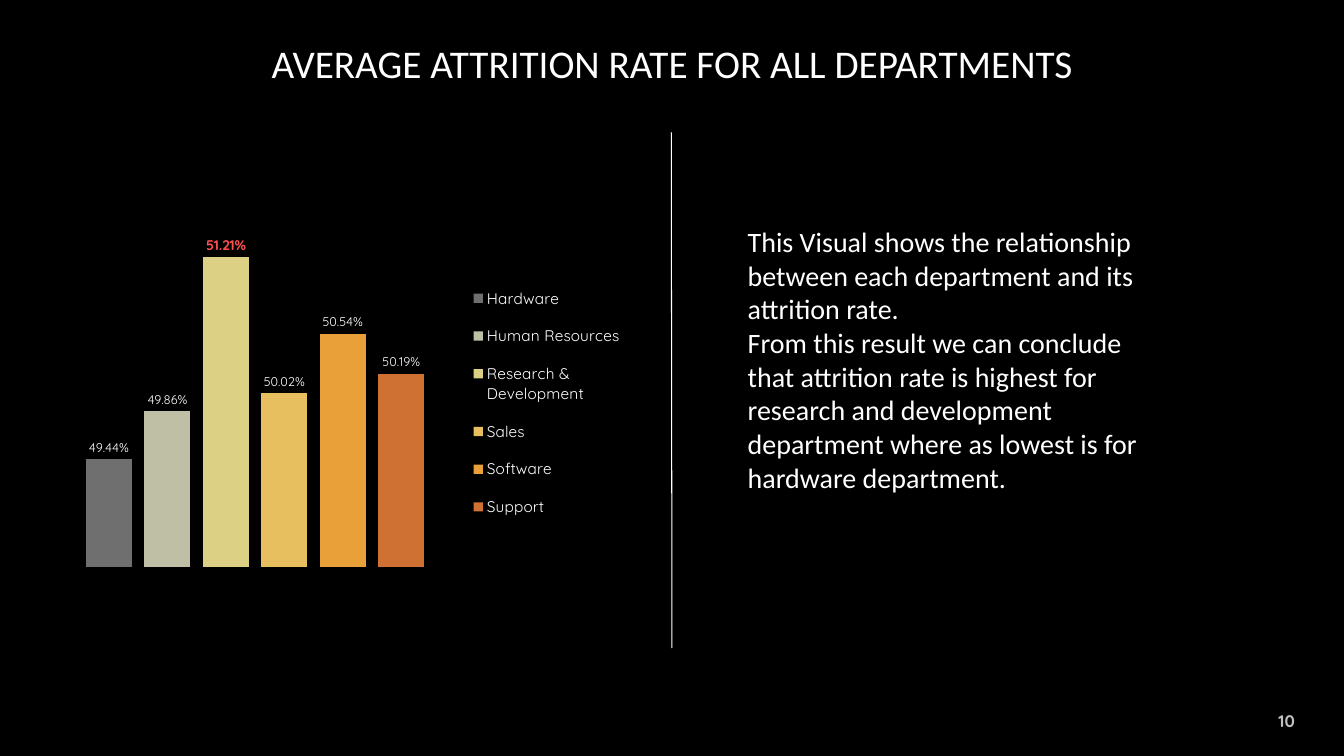
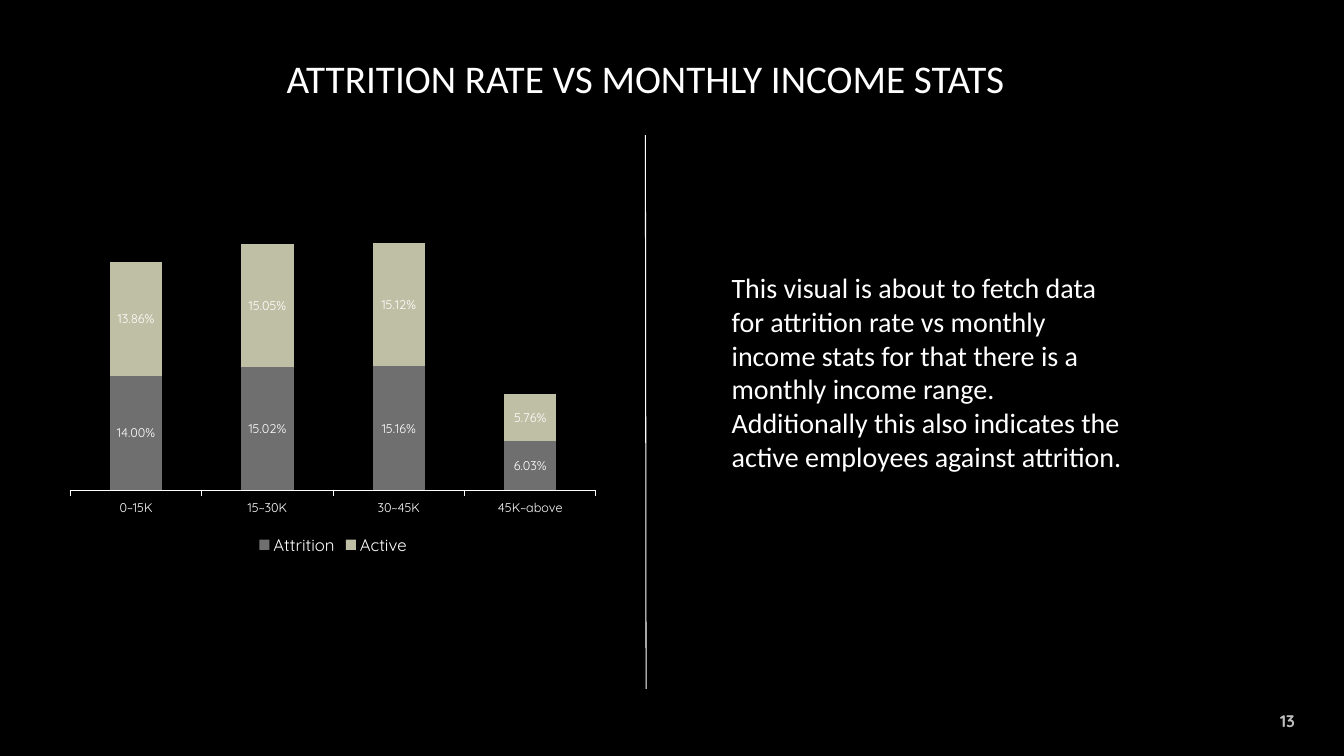
from lxml.etree import SubElement
from pptx import Presentation
from pptx.chart.data import CategoryChartData
from pptx.dml.color import RGBColor
from pptx.enum.chart import XL_CHART_TYPE, XL_LABEL_POSITION, XL_LEGEND_POSITION, XL_TICK_MARK
from pptx.enum.shapes import MSO_CONNECTOR
from pptx.enum.text import MSO_ANCHOR, MSO_AUTO_SIZE, PP_ALIGN
from pptx.oxml import parse_xml
from pptx.oxml.ns import nsdecls, qn
from pptx.util import Pt

BLACK = RGBColor(0x00, 0x00, 0x00)
WHITE = RGBColor(0xFF, 0xFF, 0xFF)
SILVER = RGBColor(0xBF, 0xBF, 0xBF)
RED = RGBColor(0xFF, 0x50, 0x50)
GRAY = RGBColor(0x6F, 0x6F, 0x6F)
SAGE = RGBColor(0xBF, 0xBF, 0xA5)
STRAW = RGBColor(0xDC, 0xD0, 0x84)
GOLD = RGBColor(0xE7, 0xBF, 0x5F)
AMBER = RGBColor(0xE9, 0xA0, 0x39)
RUST = RGBColor(0xCF, 0x71, 0x33)
COLORS = [GRAY, SAGE, STRAW, GOLD, AMBER, RUST]
TEXT = "Calibri"
LABEL = "Quicksand"
PERCENT = "0.00%"

PAGES = [
    {
        "title": "AVERAGE ATTRITION RATE FOR ALL DEPARTMENTS",
        "break": True,
        "head": (90, 33, 780, 61),
        "line": (479.5, 94.5, 480, 463),
        "body": (527, 157, 297, 225),
        "notes": [
            "This Visual shows the relationship between each department and its attrition rate.",
            "From this result we can conclude that attrition rate is highest for research and "
            "development department where as lowest is for hardware department.",
        ],
        "number": "10",
        "chart": (16.5, 155, 448, 255),
        "kind": XL_CHART_TYPE.COLUMN_CLUSTERED,
        "cats": ["1"],
        "rows": [
            ("Hardware", [0.4944]),
            ("Human Resources", [0.4986]),
            ("Research & Development", [0.5121]),
            ("Sales", [0.5002]),
            ("Software", [0.5054]),
            ("Support", [0.5019]),
        ],
        "gap": 219,
        "overlap": -27,
        "range": (0.485, 0.515),
        "place": XL_LABEL_POSITION.OUTSIDE_END,
        "axis": False,
        "side": XL_LEGEND_POSITION.RIGHT,
        "size": 11,
        "plot": (0.02, 0.02, 0.7, 0.96),
        "key": (0.7, 0.15, 0.27, 0.74),
        "peak": 2,
    },
    {
        "title": "ATTRITION RATE VS MONTHLY INCOME STATS",
        "break": False,
        "head": (71, 20, 780, 76),
        "line": (461, 96.5, 461.5, 492),
        "body": (515.5, 190, 297, 153),
        "notes": [
            "This visual is about to fetch data for attrition rate vs monthly income stats "
            "for that there is a monthly income range.",
            "Additionally this also indicates the active employees against attrition.",
        ],
        "number": "13",
        "chart": (42.5, 140.5, 391, 259),
        "kind": XL_CHART_TYPE.COLUMN_STACKED,
        "cats": ["0~15K", "15~30K", "30~45K", "45K~above"],
        "rows": [
            ("Attrition", [0.14, 0.1502, 0.1516, 0.0603]),
            ("Active", [0.1386, 0.1505, 0.1512, 0.0576]),
        ],
        "gap": 150,
        "overlap": 100,
        "range": (0, 0.35),
        "place": XL_LABEL_POSITION.CENTER,
        "axis": True,
        "side": XL_LEGEND_POSITION.BOTTOM,
        "size": 12,
        "plot": (0.02, 0.02, 0.96, 0.79),
        "key": None,
        "peak": None,
    },
]


def style(font, size, name=LABEL, color=WHITE, bold=False):
    font.size = Pt(size)
    font.name = name
    font.color.rgb = color
    font.bold = bold


def arrange(node, index, parts, inner):
    for old in node.findall(qn("c:layout")):
        node.remove(old)
    layout = parse_xml(f"<c:layout {nsdecls('c')}><c:manualLayout/></c:layout>")
    manual = layout[0]
    if inner:
        SubElement(manual, qn("c:layoutTarget")).set("val", "inner")
    for tag in ("xMode", "yMode"):
        SubElement(manual, qn(f"c:{tag}")).set("val", "edge")
    for tag, part in zip("xywh", parts):
        SubElement(manual, qn(f"c:{tag}")).set("val", str(part))
    node.insert(index, layout)


deck = Presentation()
deck.slide_width = Pt(960)
deck.slide_height = Pt(540)
back = deck.slide_master.background.fill
back.solid()
back.fore_color.rgb = BLACK

for page in PAGES:
    slide = deck.slides.add_slide(deck.slide_layouts[5])
    shapes = slide.shapes

    title = shapes.title
    title.left, title.top, title.width, title.height = map(Pt, page["head"])
    frame = title.text_frame
    frame.auto_size = MSO_AUTO_SIZE.NONE
    frame.vertical_anchor = MSO_ANCHOR.MIDDLE
    para = frame.paragraphs[0]
    para.alignment = PP_ALIGN.CENTER
    para.line_spacing = 0.9
    style(para.font, 28, TEXT)
    run = para.add_run()
    run.text = page["title"]
    style(run.font, 28, TEXT)
    if page["break"]:
        para.add_line_break()

    line = shapes.add_connector(MSO_CONNECTOR.STRAIGHT, *map(Pt, page["line"]))
    line.line.color.rgb = WHITE
    line.line.width = Pt(0.75)
    SubElement(line._element.spPr, qn("a:effectLst"))

    data = CategoryChartData(number_format=PERCENT)
    data.categories = page["cats"]
    for name, values in page["rows"]:
        data.add_series(name, values)
    chart = shapes.add_chart(page["kind"], *map(Pt, page["chart"]), data).chart
    chart.has_title = False
    style(chart.font, 10)

    plot = chart.plots[0]
    plot.vary_by_categories = False
    plot.gap_width = page["gap"]
    plot.overlap = page["overlap"]
    for index, (series, color) in enumerate(zip(plot.series, COLORS)):
        series.format.fill.solid()
        series.format.fill.fore_color.rgb = color
        labels = series.data_labels
        labels.show_value = True
        labels.number_format = PERCENT
        labels.number_format_is_linked = False
        labels.position = page["place"]
        if index == page["peak"]:
            style(labels.font, 10, color=RED, bold=True)
        else:
            style(labels.font, 9)

    value = chart.value_axis
    value.minimum_scale, value.maximum_scale = page["range"]
    value.has_major_gridlines = False
    value.visible = False
    base = chart.category_axis
    base.visible = page["axis"]
    if page["axis"]:
        base.major_tick_mark = XL_TICK_MARK.OUTSIDE
        base.format.line.color.rgb = WHITE
        base.format.line.width = Pt(0.75)
        style(base.tick_labels.font, 9)

    chart.has_legend = True
    legend = chart.legend
    legend.position = page["side"]
    legend.include_in_layout = False
    style(legend.font, page["size"])
    arrange(chart._chartSpace.chart.plotArea, 0, page["plot"], True)
    if page["key"]:
        arrange(legend._element, 1, page["key"], False)

    frame = shapes.add_textbox(*map(Pt, page["body"])).text_frame
    frame.word_wrap = True
    for index, note in enumerate(page["notes"]):
        para = frame.add_paragraph() if index else frame.paragraphs[0]
        run = para.add_run()
        run.text = note
        style(run.font, 20, TEXT)

    frame = shapes.add_textbox(Pt(889), Pt(500), Pt(43), Pt(29)).text_frame
    frame.word_wrap = True
    frame.vertical_anchor = MSO_ANCHOR.MIDDLE
    para = frame.paragraphs[0]
    para.alignment = PP_ALIGN.RIGHT
    run = para.add_run()
    run.text = page["number"]
    style(run.font, 12, color=SILVER, bold=True)

deck.save("out.pptx")
